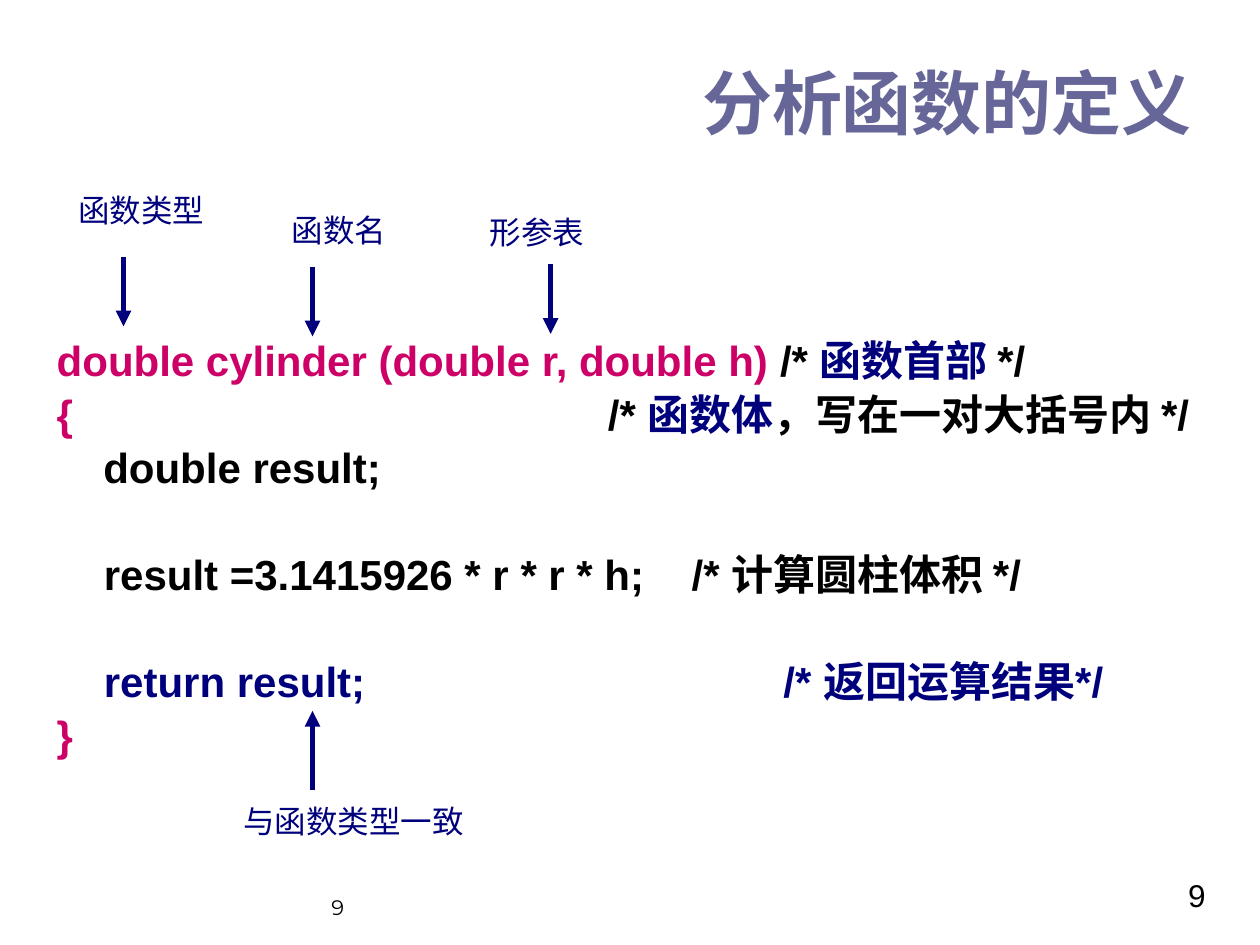
from dataclasses import dataclass
from lxml.etree import SubElement
from pptx import Presentation
from pptx.dml.color import RGBColor
from pptx.enum.shapes import MSO_CONNECTOR
from pptx.enum.text import MSO_ANCHOR, MSO_AUTO_SIZE, PP_ALIGN
from pptx.oxml.ns import qn
from pptx.util import Cm, Pt


@dataclass(frozen=True)
class Theme:
    font: str = "Arial"
    alt: str = "Montserrat"
    black: str = "000000"
    navy: str = "00007D"
    pink: str = "CC0066"
    violet: str = "666699"
    title: int = 40
    code: int = 24
    label: int = 18
    small: int = 12
    line: int = 3
    gap: float = 4.8
    skip: float = 35.2
    inset: float = 0.95


class Page:
    def __init__(self, slide, theme):
        self.slide = slide
        self.theme = theme

    def place(self, shape, box):
        shape.left, shape.top, shape.width, shape.height = map(Cm, box)
        frame = shape.text_frame
        frame.auto_size = MSO_AUTO_SIZE.NONE
        return frame

    def style(self, font, size, color, bold=False, name=None):
        font.name = name or self.theme.font
        font.size = Pt(size)
        font.bold = bold
        font.color.rgb = RGBColor.from_string(color)

    def title(self, text, box):
        frame = self.place(self.slide.shapes.title, box)
        frame.vertical_anchor = MSO_ANCHOR.MIDDLE
        para = frame.paragraphs[0]
        para.text = text
        para.alignment = PP_ALIGN.LEFT
        self.style(para.font, self.theme.title, self.theme.violet, True)

    def code(self, lines, box):
        frame = self.place(self.slide.placeholders[1], box)
        inset = Cm(self.theme.inset)
        for i, (space, tab, runs) in enumerate(lines):
            para = frame.paragraphs[0] if i == 0 else frame.add_paragraph()
            prop = para._p.get_or_add_pPr()
            prop.set("marL", str(inset))
            prop.set("indent", str(-inset))
            prop.set("defTabSz", str(Cm(tab)))
            SubElement(prop, qn("a:buNone"))
            para.line_spacing = 0.9
            para.space_before = Pt(space)
            self.style(para.font, self.theme.code, runs[0][1], True)
            for text, color in runs:
                run = para.add_run()
                run.text = text
                if color != runs[0][1]:
                    run.font.color.rgb = RGBColor.from_string(color)

    def text(self, text, box, size, color, align=PP_ALIGN.LEFT,
             anchor=MSO_ANCHOR.TOP, wrap=True, name=None):
        shape = self.slide.shapes.add_textbox(*map(Cm, box))
        frame = self.place(shape, box)
        frame.word_wrap = wrap
        frame.vertical_anchor = anchor
        para = frame.paragraphs[0]
        para.text = text
        para.alignment = align
        self.style(para.font, size, color, name=name)

    def label(self, text, box):
        self.text(text, box, self.theme.label, self.theme.navy,
                  PP_ALIGN.CENTER, wrap=False)

    def arrow(self, x, start, end):
        link = self.slide.shapes.add_connector(
            MSO_CONNECTOR.STRAIGHT, Cm(x), Cm(start), Cm(x), Cm(end))
        link.line.width = Pt(self.theme.line)
        link.line.color.rgb = RGBColor.from_string(self.theme.navy)
        SubElement(link.line._get_or_add_ln(), qn("a:tailEnd"), type="triangle")
        SubElement(link._element.spPr, qn("a:effectLst"))


def main():
    deck = Presentation()
    deck.slide_width, deck.slide_height = Cm(25.4), Cm(19.05)
    theme = Theme()
    page = Page(deck.slides.add_slide(deck.slide_layouts[1]), theme)
    black, navy, pink = theme.black, theme.navy, theme.pink
    gap, skip = theme.gap, theme.skip
    tab = 2.54

    page.title("分析函数的定义", (13.9, 0.71, 11, 2.67))
    page.code([
        (0, tab, [("double cylinder (double r, double h)", pink),
                  (" /* ", black), ("函数首部 ", navy), ("*/", black)]),
        (gap, tab, [("{\t\t\t\t\t", pink), ("/* ", black), ("函数体", navy),
                    ("，写在一对大括号内 */", black)]),
        (gap, tab, [("    double result;", black)]),
        (skip, 11.85,
         [("\tresult =3.1415926 * r * r * h;\t/* 计算圆柱体积 */", black)]),
        (skip, 13.7, [("\treturn result;\t/* 返回运算结果*/", navy)]),
        (gap, tab, [("}", pink)]),
    ], (0.89, 6.73, 23.8, 10.59))

    for text, box in [
        ("函数类型", (0.89, 3.73, 3.91, 1.27)),
        ("函数名", (5.3, 4.13, 3.07, 1.27)),
        ("形参表", (9.29, 4.17, 3.07, 1.27)),
        ("与函数类型一致", (3.89, 16.05, 6.48, 1.17)),
    ]:
        page.label(text, box)

    for x, start, end in [(2.49, 5.18, 6.58), (6.3, 5.38, 6.78),
                          (11.1, 5.33, 6.73), (6.3, 15.93, 14.33)]:
        page.arrow(x, start, end)

    page.text("9", (23.7, 17.53, 1.4, 1.02), theme.label, black)
    page.text("9", (1.27, 17.35, 5.92, 1.32), theme.small, black,
              PP_ALIGN.RIGHT, MSO_ANCHOR.BOTTOM, name=theme.alt)
    deck.save("out.pptx")


if __name__ == "__main__":
    main()
